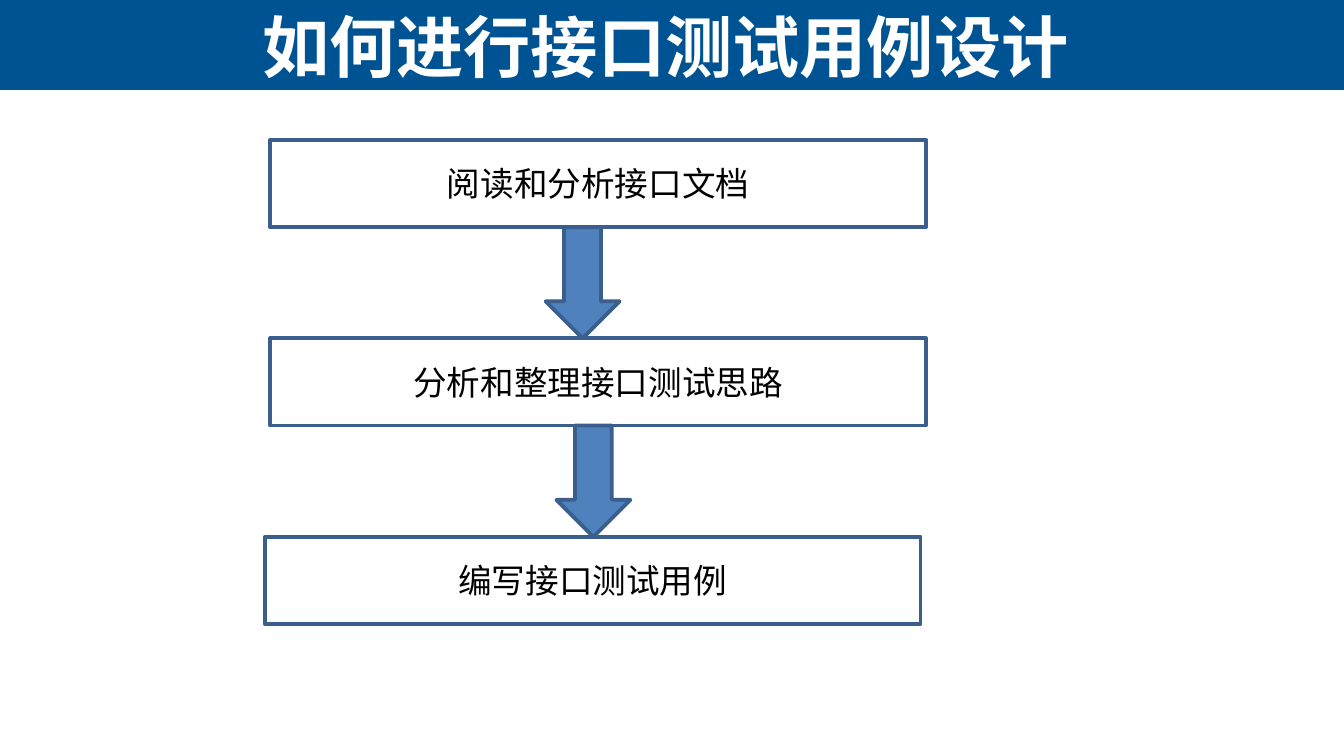
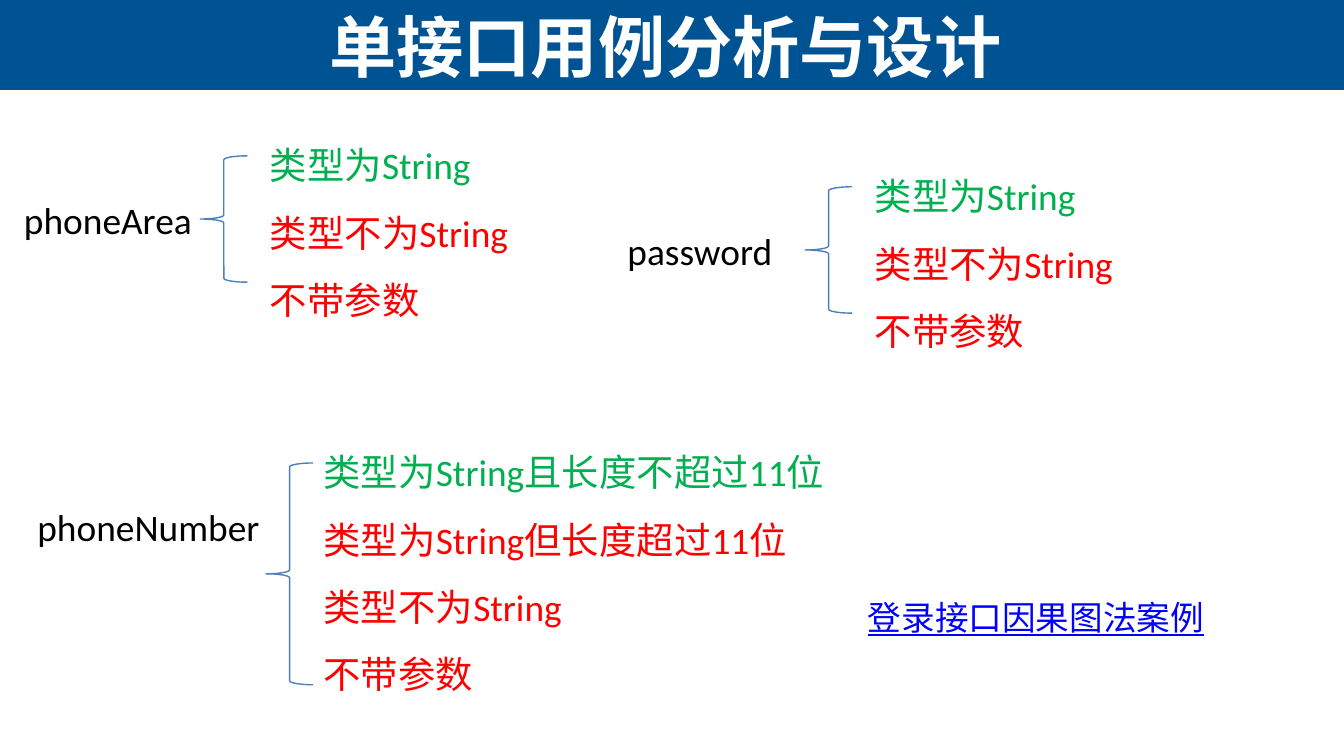
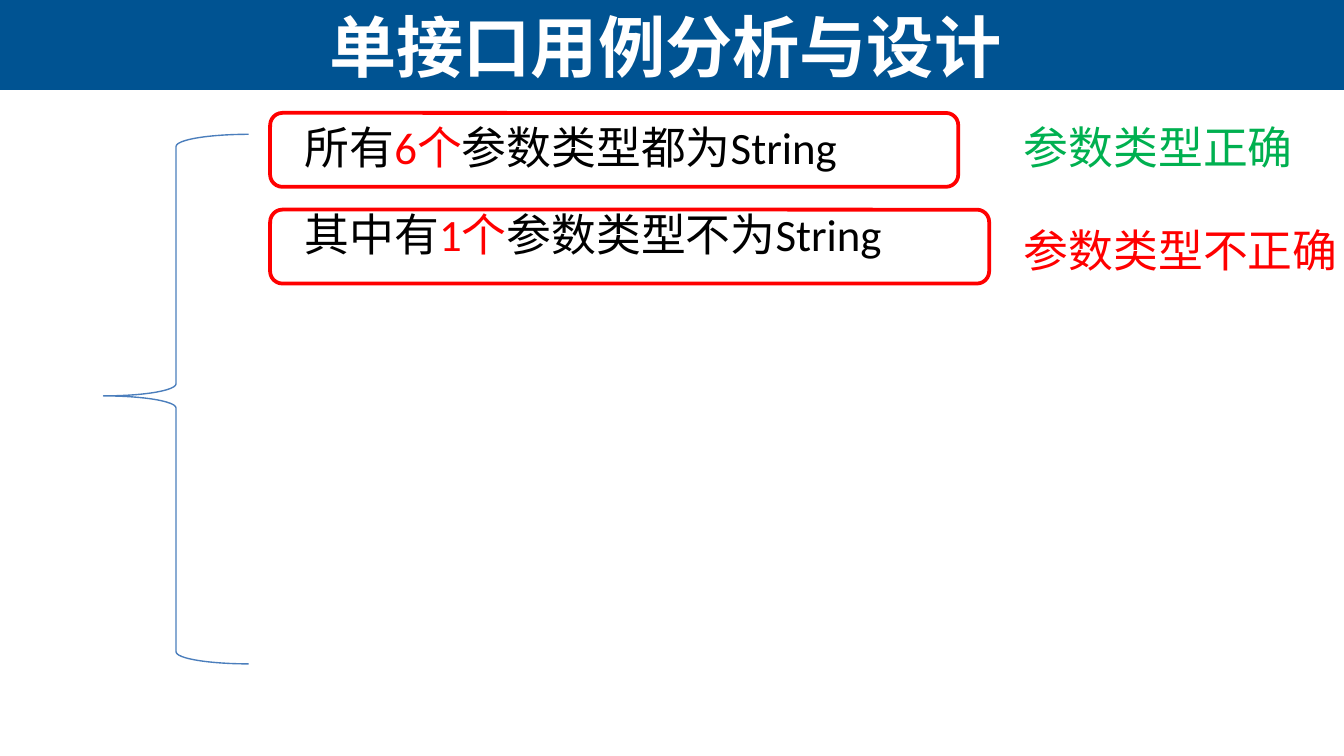
"""Build three slides on designing interface test cases."""
from pptx import Presentation
from pptx.dml.color import RGBColor
from pptx.enum.shapes import MSO_SHAPE
from pptx.enum.text import MSO_ANCHOR, PP_ALIGN
from pptx.util import Inches, Pt

RECT, ROUND = MSO_SHAPE.RECTANGLE, MSO_SHAPE.ROUNDED_RECTANGLE
DOWN, BRACE = MSO_SHAPE.DOWN_ARROW, MSO_SHAPE.LEFT_BRACE
MID, TOP = MSO_ANCHOR.MIDDLE, MSO_ANCHOR.TOP
LEFT, CENTER = PP_ALIGN.LEFT, PP_ALIGN.CENTER

NAVY = RGBColor(0x00, 0x53, 0x92)
BLUE = RGBColor(0x4F, 0x81, 0xBD)
EDGE = RGBColor(0x3A, 0x5F, 0x8C)
THIN = RGBColor(0x4B, 0x7E, 0xBC)
LINK = RGBColor(0x00, 0x00, 0xFF)
GREEN = RGBColor(0x00, 0xB0, 0x50)
RED = RGBColor(0xFF, 0x00, 0x00)
BLACK = RGBColor(0x00, 0x00, 0x00)
WHITE = RGBColor(0xFF, 0xFF, 0xFF)

deck = Presentation()
deck.slide_width = Inches(10)
deck.slide_height = deck.slide_width * 9 // 16
CELL = deck.slide_width / 100


def draw(page, kind, box, fill=None, line=None, width=2):
    """Add a preset shape, or a text box if kind is None, on the grid."""
    area = [round(n * CELL) for n in box]
    if kind is None:
        shape = page.shapes.add_textbox(*area)
        shape.text_frame.word_wrap = True
        return shape
    shape = page.shapes.add_shape(kind, *area)
    shape.shadow.inherit = False
    if fill is None:
        shape.fill.background()
    else:
        shape.fill.solid()
        shape.fill.fore_color.rgb = fill
    if line is None:
        shape.line.fill.background()
    else:
        shape.line.color.rgb = line
        shape.line.width = Pt(width)
    return shape


def write(shape, rows, size, align=LEFT, anchor=TOP, face="Calibri"):
    """Fill a shape with paragraphs, each a list of (text, colour) runs."""
    frame = shape.text_frame
    frame.vertical_anchor = anchor
    for i, row in enumerate(rows):
        para = frame.add_paragraph() if i else frame.paragraphs[0]
        para.alignment = align
        para.font.name, para.font.size = face, Pt(size)
        para.font.color.rgb = row[0][1]
        for text, tint in row:
            run = para.add_run()
            run.text = text
            if len(row) > 1:
                run.font.color.rgb = tint
    return frame.paragraphs


titles = ["如何进行接口测试用例设计", "单接口用例分析与设计", "单接口用例分析与设计"]
pages = []
for title in titles:
    page = deck.slides.add_slide(deck.slide_layouts[6])
    draw(page, RECT, (0, 0, 100, 6.7), NAVY)
    head = draw(page, None, (0.2, 0, 98.6, 6.75))
    write(head, [[(title, WHITE)]], 36, CENTER, MID, "Arial")[0].font.bold = True
    pages.append(page)
flow, cases, types = pages

STEP, TALL = 14.77, 6.5
steps = [("阅读和分析接口文档", 20.1), ("分析和整理接口测试思路", 20.1), ("编写接口测试用例", 19.7)]
for i, (text, x) in enumerate(steps):
    step = draw(flow, RECT, (x, 10.4 + i * STEP, 48.8, TALL), line=EDGE)
    write(step, [[(text, BLACK)]], 18, CENTER, MID)
for i, x in enumerate([40.6, 41.4]):
    draw(flow, DOWN, (x, 10.4 + TALL + i * STEP, 5.5, STEP - TALL), BLUE, EDGE)

basic = ["类型为String", "类型不为String", "不带参数"]
phone = ["类型为String且长度不超过11位", "类型为String但长度超过11位", *basic[1:]]
params = [
    ("phoneArea", 0.8, 14.2, 14.9, 9.4, 19.1, 29.3, basic),
    ("phoneNumber", 1.8, 37.05, 19.8, 16.5, 23.1, 44.3, phone),
    ("password", 45.7, 16.5, 59.9, 9.4, 64.1, 29.3, basic),
]
for name, x, y, mark, tall, left, wide, rules in params:
    write(draw(cases, None, (x, y, 21.3, 4.4)), [[(name, BLACK)]], 20)
    draw(cases, BRACE, (mark, y - 2.6, 3.5, tall), line=THIN, width=0.75)
    rows = [[(rule, RED if i else GREEN)] for i, rule in enumerate(rules)]
    note = draw(cases, None, (left, y - 5.75, wide, 1.2 + 5 * len(rows)))
    for para in write(note, rows, 20):
        para.line_spacing = 1.5
link = draw(cases, None, (63.6, 43.9, 27.3, 4))
link.text_frame.word_wrap = False
write(link, [[("登录接口因果图法案例", LINK)]], 18)[0].font.underline = True

brace = draw(types, BRACE, (7.7, 10, 10.8, 39.4), line=THIN, width=0.75)
brace.adjustments[1] = 0.494
rows = [
    [("所有", BLACK), ("6个", RED), ("参数类型都为String", BLACK)],
    [("其中有", BLACK), ("1个", RED), ("参数类型不为String", BLACK)],
]
lines = write(draw(types, None, (21.7, 8.4, 56.6, 11.6)), rows, 24)
lines[1].space_before = Pt(18)
marks = [(8.4, 51.2, 8.4, 22.4, "参数类型正确", GREEN),
         (15.6, 53.5, 16.1, 32.3, "参数类型不正确", RED)]
for y, wide, top, span, text, tint in marks:
    draw(types, ROUND, (20.1, y, wide, 5.5), line=RED)
    write(draw(types, None, (75.2, top, span, 5)), [[(text, tint)]], 24)

deck.save("out.pptx")
